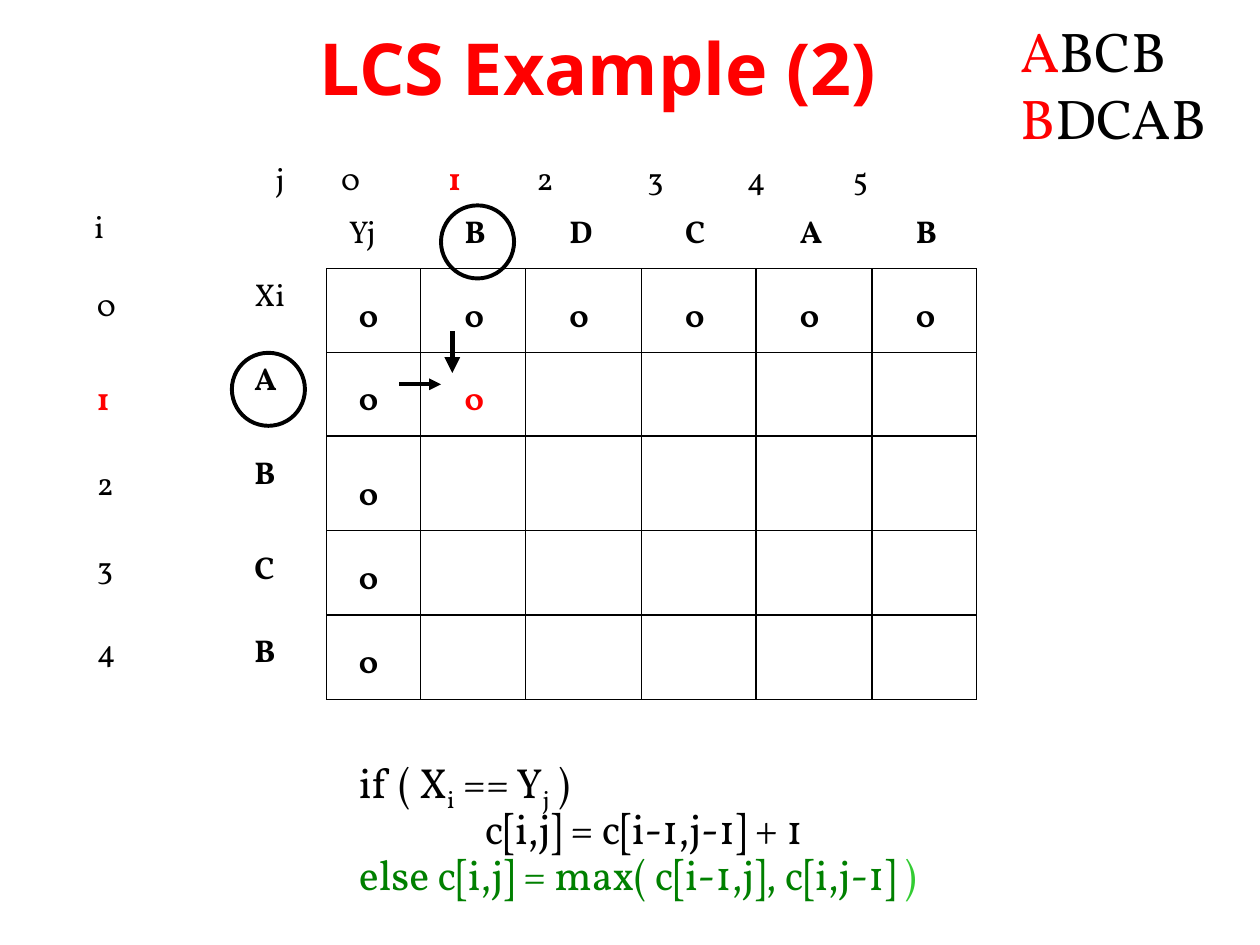
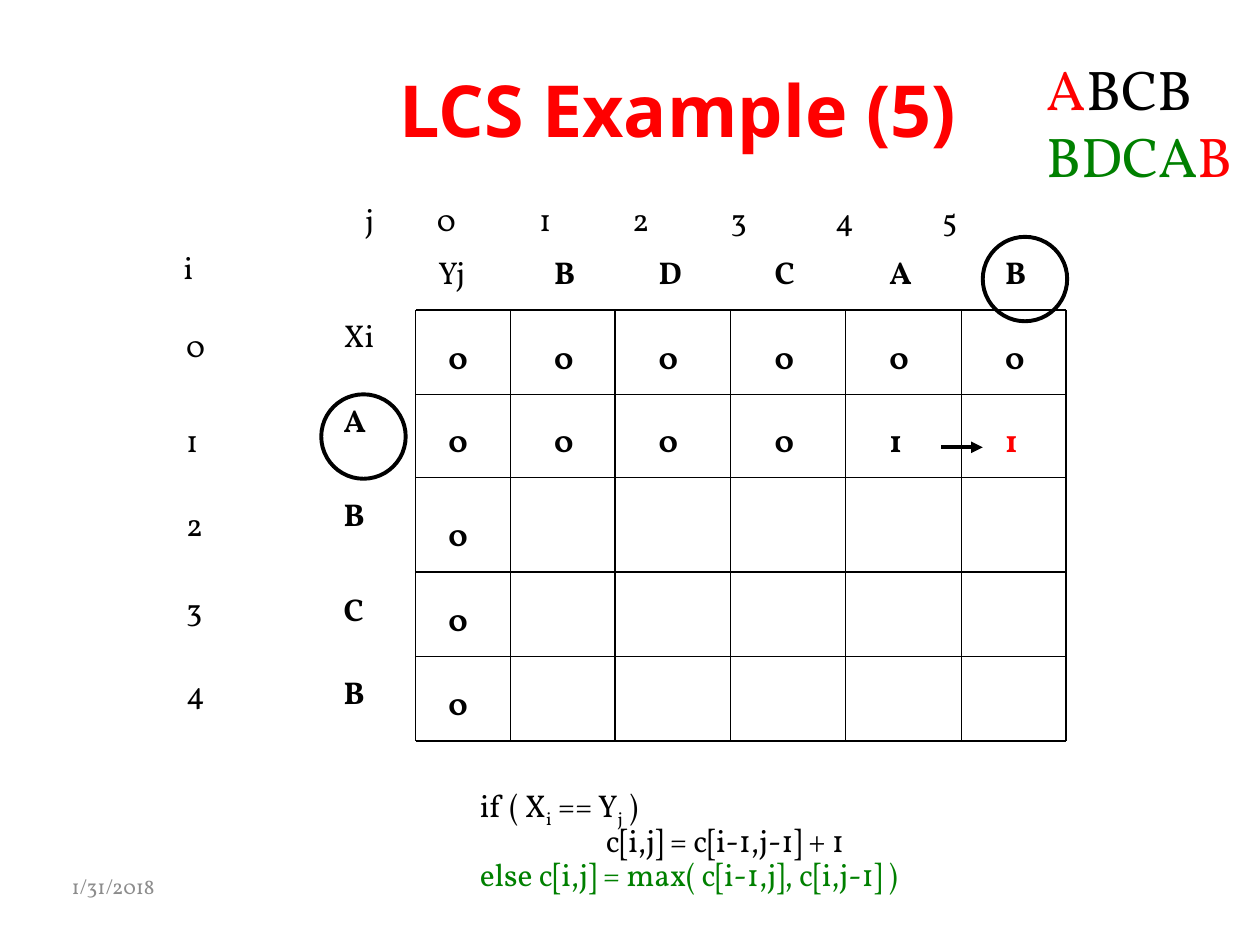
from pptx import Presentation
from pptx.dml.color import RGBColor
from pptx.enum.shapes import MSO_CONNECTOR, MSO_SHAPE
from pptx.enum.text import MSO_ANCHOR, MSO_AUTO_SIZE, PP_ALIGN
from pptx.oxml.xmlchemy import OxmlElement
from pptx.util import Inches, Pt

BLACK, RED, GREEN, LIME, GRAY = "000000", "FF0000", "008000", "33CC33", "8C8C8C"
TITLE_FONT, BODY_FONT = "Noto Sans", "Vollkorn"

# Grid geometry, measured from the top left corner of the grid
COLUMN_LINES = [0, 0.75, 1.58, 2.5, 3.41, 4.33, 5.16]
ROW_LINES = [0, 0.67, 1.33, 2.08, 2.75, 3.42]
CELL_LEFTS = [0.16] + [line + 0.25 for line in COLUMN_LINES[1:-1]]
CELL_TOPS = [0.17, 0.83, 1.58, 2.25, 2.92]
X_LABEL_TOPS = [0, 0.67, 1.42, 2.17, 2.83]
INDEX_TOPS = [0.08, 0.83, 1.5, 2.17, 2.83]
X_LETTERS, Y_LETTERS = "ABCB", "BDCAB"


def color(value):
    return RGBColor.from_string(value)


class SlideWriter:
    """Holds the shared style and the slide being drawn."""

    def __init__(self):
        self.deck = Presentation()
        self.deck.slide_width = Inches(10)
        self.deck.slide_height = Inches(7.5)
        self.page = None

    def new_page(self):
        self.page = self.deck.slides.add_slide(self.deck.slide_layouts[6])

    def format_span(self, span, style):
        style = {"name": BODY_FONT, "size": 18, "bold": False, "color": BLACK} | style
        baseline = style.pop("baseline", None)
        span.font.color.rgb = color(style.pop("color"))
        style["size"] = Pt(style["size"])
        for name, value in style.items():
            setattr(span.font, name, value)
        if baseline:
            span._r.get_or_add_rPr().set("baseline", str(baseline))

    def text(self, left, top, width, height, lines, frame_style=None,
             paragraph_style=None, indents=(), tabs=()):
        """Each line is a list of (text, style) spans."""
        box = self.page.shapes.add_textbox(
            Inches(left), Inches(top), Inches(width), Inches(height))
        frame = box.text_frame
        for name, value in ({"word_wrap": True} | (frame_style or {})).items():
            setattr(frame, name, value)
        for number, spans in enumerate(lines):
            paragraph = frame.add_paragraph() if number else frame.paragraphs[0]
            for name, value in (paragraph_style or {}).items():
                setattr(paragraph, name, value)
            properties = paragraph._p.get_or_add_pPr()
            if indents:
                properties.set("marL", str(Inches(indents[number])))
            if tabs:
                stops = OxmlElement("a:tabLst")
                for position in tabs:
                    stop = OxmlElement("a:tab")
                    stop.set("pos", str(Inches(position)))
                    stop.set("algn", "l")
                    stops.append(stop)
                properties.append(stops)
            for words, style in spans:
                span = paragraph.add_run()
                span.text = words
                self.format_span(span, style)

    def title(self, left, top, words):
        style = {"name": TITLE_FONT, "size": 41, "bold": True, "color": RED}
        self.text(left, top, 9.08, 1, [[(words, style)]],
                  {"vertical_anchor": MSO_ANCHOR.MIDDLE},
                  {"alignment": PP_ALIGN.CENTER})

    def label(self, left, top, words, width=0.44, **style):
        self.text(left, top, width, 0.5, [[(words, style)]],
                  {"word_wrap": False, "auto_size": MSO_AUTO_SIZE.SHAPE_TO_FIT_TEXT})

    def line(self, start, end, width=0.75, arrow=False):
        points = [Inches(value) for value in (*start, *end)]
        connector = self.page.shapes.add_connector(MSO_CONNECTOR.STRAIGHT, *points)
        connector.line.color.rgb = color(BLACK)
        connector.line.width = Pt(width)
        if arrow:
            head = OxmlElement("a:tailEnd")
            head.set("type", "triangle")
            connector.line._get_or_add_ln().append(head)
        connector._element.spPr.append(OxmlElement("a:effectLst"))

    def circle(self, left, top, size):
        ring = self.page.shapes.add_shape(
            MSO_SHAPE.OVAL, Inches(left), Inches(top), Inches(size), Inches(size))
        ring.shadow.inherit = False
        ring.fill.background()
        ring.line.color.rgb = color(BLACK)
        ring.line.width = Pt(2.25)

    def grid(self, left, top, rows):
        """Draws the table lines, its headings and the values found so far."""
        right, bottom = left + COLUMN_LINES[-1], top + ROW_LINES[-1]
        for x in COLUMN_LINES:
            self.line((left + x, top), (left + x, bottom))
        for y in ROW_LINES:
            self.line((left, top + y), (right, top + y))

        # Headings of the two sequences
        self.label(left - 1.94, top - 0.54, "i", 0.29)
        self.label(left - 0.67, top, "Xi", 0.53)
        self.label(left + 0.08, top - 0.5, "Yj", 0.53)
        for y, letter in zip(X_LABEL_TOPS[1:], X_LETTERS):
            self.label(left - 0.67, top + y, letter, bold=True)
        for x, letter in zip(CELL_LEFTS[1:], Y_LETTERS):
            self.label(left + x, top - 0.5, letter, bold=True)

        # Cell values, the newest one in red
        newest = (1, len(rows[1]) - 1)
        for row, values in enumerate(rows):
            for column, value in enumerate(values):
                shade = RED if (row, column) == newest else BLACK
                self.label(left + CELL_LEFTS[column], top + CELL_TOPS[row], value,
                           0.37, bold=True, color=shade)

    def indices(self, left, top, tabs, active=None):
        """Numbers the columns j and the rows i; the active number is red."""
        def style(number):
            return {"color": RED, "bold": True} if number == active else {}

        numbers = [(f"\t{number}", style(number)) for number in range(6)]
        self.text(left - 0.5, top - 0.92, 5.66, 0.4, [[("j", {})] + numbers], tabs=tabs)
        for number, y in enumerate(INDEX_TOPS):
            self.label(left - 1.92, top + y, str(number), 0.37, **style(number))

    def rule(self, left, top, height, size, closing):
        """Writes the recurrence for c[i,j]."""
        plain, low = {"size": size}, {"size": size, "baseline": -25000}
        lines = [
            [("if ( X", plain), ("i", low), (" == Y", plain), ("j", low), (" )", plain)],
            [("c[i,j] = c[i-1,j-1] + 1", plain)],
            [("else c[i,j] = max( c[i-1,j], c[i,j-1]", plain | {"color": GREEN}),
             (" )", plain | {"color": closing})],
        ]
        self.text(left, top, 6.75, height, lines,
                  paragraph_style={"line_spacing": 0.9}, indents=(2, 3, 2))

    def sequences(self, left, top, *lines):
        self.text(left, top, 1.75, 1.17,
                  [[(letters, {"size": 32, "color": shade}) for letters, shade in line]
                   for line in lines])


def first_comparison(writer):
    left, top = 2.59, 2.13
    writer.new_page()
    writer.title(0.21, 0.03, "LCS Example (2)")
    writer.grid(left, top, ["000000", "00", "0", "0", "0"])
    writer.indices(left, top, (0.52, 1.37, 2.07, 2.95, 3.74, 4.58), active=1)
    writer.rule(0.75, 5.96, 1.46, 24, LIME)
    # Compared letters and the neighbours used
    writer.circle(1.84, 2.8, 0.58)
    writer.circle(3.5, 1.63, 0.58)
    writer.line((3.59, 2.63), (3.59, 2.96), 3, arrow=True)
    writer.line((3.17, 3.05), (3.5, 3.05), 2.25, arrow=True)
    writer.sequences(8, 0.08, [("A", RED), ("BCB", BLACK)],
                     [("B", RED), ("DCAB", BLACK)])


def last_comparison(writer):
    left, top = 3.3, 2.46
    writer.new_page()
    writer.title(0.84, 0.36, "LCS Example (5)")
    writer.text(0.47, 6.78, 2.33, 0.4, [[("1/31/2018", {"size": 12, "color": GRAY})]],
                {"vertical_anchor": MSO_ANCHOR.BOTTOM})
    writer.grid(left, top, ["000000", "000011", "0", "0", "0"])
    writer.indices(left, top, (0.57, 1.38, 2.12, 2.9, 3.73, 4.58))
    writer.rule(1.71, 6.19, 1.18, 18, GREEN)
    # Compared letters and the neighbour used
    writer.line((7.47, 3.55), (7.8, 3.55), 2.25, arrow=True)
    writer.circle(2.55, 3.13, 0.67)
    writer.circle(7.8, 1.88, 0.67)
    writer.sequences(8.21, 0.38, [("A", RED), ("BCB", BLACK)],
                     [("BDCA", GREEN), ("B", RED)])


def main():
    writer = SlideWriter()
    first_comparison(writer)
    last_comparison(writer)
    writer.deck.save("out.pptx")


if __name__ == "__main__":
    main()
